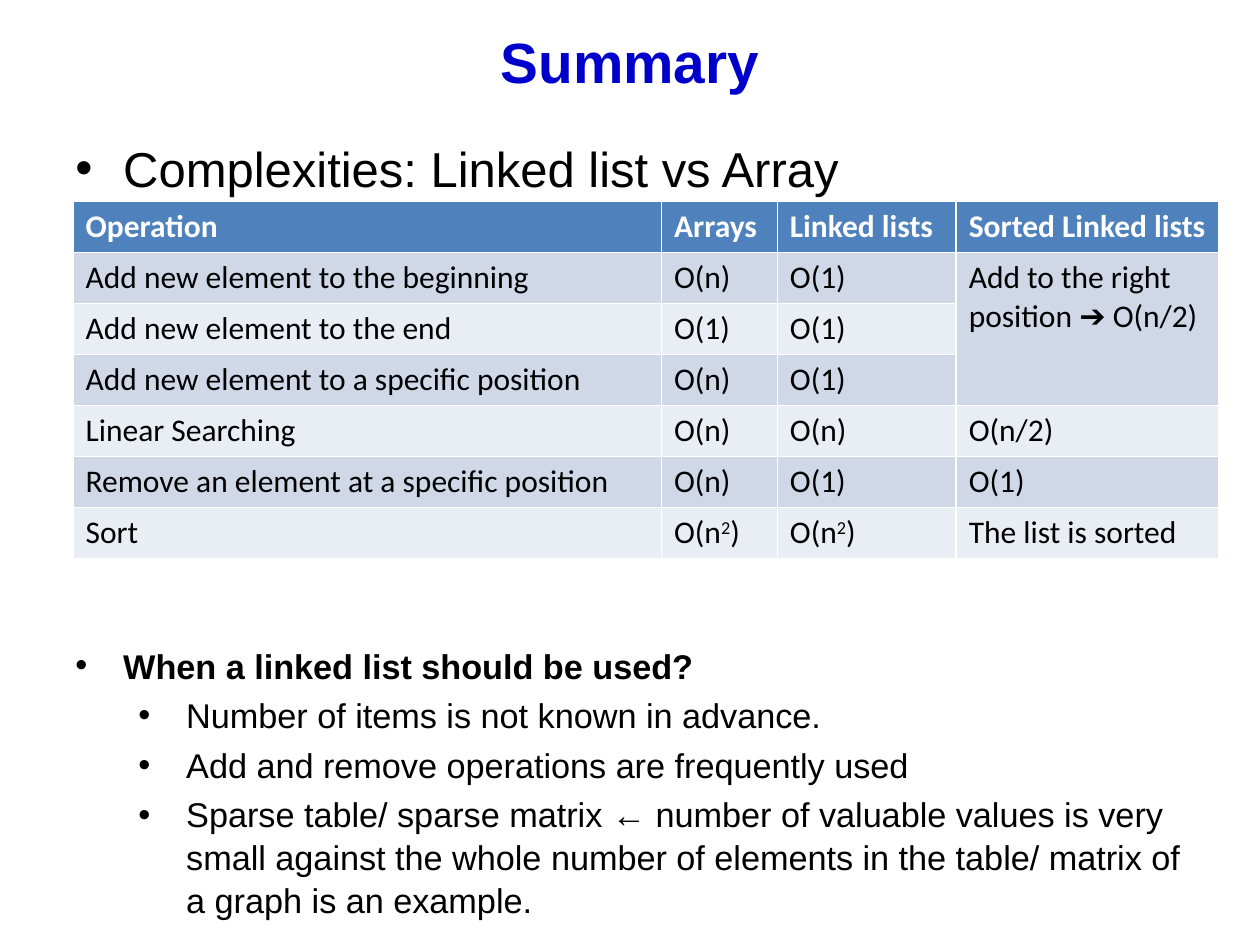
from lxml.etree import SubElement
from pptx import Presentation
from pptx.dml.color import RGBColor
from pptx.enum.text import MSO_ANCHOR, PP_ALIGN
from pptx.oxml.ns import qn
from pptx.util import Inches, Pt

BLUE = RGBColor(0x00, 0x00, 0xCC)
BLACK = RGBColor(0x00, 0x00, 0x00)
WHITE = RGBColor(0xFF, 0xFF, 0xFF)
HEADER_FILL = RGBColor(0x4F, 0x81, 0xBD)
BAND_FILLS = [RGBColor(0xE9, 0xED, 0xF4), RGBColor(0xD0, 0xD8, 0xE8)]


def write(para, text, size, font="Arial", color=BLACK, bold=False, bullet_indent=None):
    """Fill a paragraph; a ² in the text becomes a raised 2."""
    if bullet_indent is not None:
        properties = para._p.get_or_add_pPr()
        properties.set("marL", str(Inches(bullet_indent)))
        properties.set("indent", str(Inches(-0.38)))
        SubElement(properties, qn("a:buFont"), typeface="Arial")
        SubElement(properties, qn("a:buChar"), char="•")
    for piece in text.partition("²"):
        if not piece:
            continue
        span = para.add_run()
        span.text = "2" if piece == "²" else piece
        span.font.size = Pt(size)
        span.font.name = font
        span.font.bold = bold
        span.font.color.rgb = color
        if piece == "²":
            span._r.get_or_add_rPr().set("baseline", "30000")


def add_text_box(page, top, height):
    box = page.shapes.add_textbox(MARGIN, top, CONTENT_WIDTH, height)
    box.text_frame.word_wrap = True
    box.text_frame.margin_top = Inches(0.1)
    return box.text_frame


deck = Presentation()
deck.slide_width = Inches(10)
deck.slide_height = Inches(7.5)
MARGIN = int(deck.slide_width * 0.05)
CONTENT_WIDTH = deck.slide_width - 2 * MARGIN
page = deck.slides.add_slide(deck.slide_layouts[5])

# Title
title = page.shapes.title
title.left, title.top = MARGIN, Inches(0.17)
title.width, title.height = CONTENT_WIDTH, Inches(0.62)
title.text_frame.vertical_anchor = MSO_ANCHOR.MIDDLE
title_para = title.text_frame.paragraphs[0]
title_para.alignment = PP_ALIGN.CENTER
write(title_para, "Summary", 32.4, color=BLUE, bold=True)

# Heading above the table
heading = add_text_box(page, Inches(1), Inches(0.58))
write(heading.paragraphs[0], "Complexities: Linked list vs Array", 28, bullet_indent=0.38)

# Complexity table
rows = [
    ["Operation", "Arrays", "Linked lists", "Sorted Linked lists"],
    ["Add new element to the beginning", "O(n)", "O(1)", "Add to the right position ➔ O(n/2)"],
    ["Add new element to the end", "O(1)", "O(1)", ""],
    ["Add new element to a specific position", "O(n)", "O(1)", ""],
    ["Linear Searching", "O(n)", "O(n)", "O(n/2)"],
    ["Remove an element at a specific position", "O(n)", "O(1)", "O(1)"],
    ["Sort", "O(n²)", "O(n²)", "The list is sorted"],
]
column_widths = [4.67, 0.92, 1.42, 2.08]
row_height = Inches(0.405)
table = page.shapes.add_table(
    len(rows), len(column_widths), Inches(0.58), Inches(1.6),
    Inches(sum(column_widths)), row_height * len(rows),
).table
for column, width in zip(table.columns, column_widths):
    column.width = Inches(width)
for row_index, row in enumerate(rows):
    table.rows[row_index].height = row_height
    is_header = row_index == 0
    for column_index, text in enumerate(row):
        cell = table.cell(row_index, column_index)
        cell.fill.solid()
        cell.fill.fore_color.rgb = HEADER_FILL if is_header else BAND_FILLS[row_index % 2]
        write(cell.text_frame.paragraphs[0], text, 18, font="Calibri",
              color=WHITE if is_header else BLACK, bold=is_header)
table.cell(1, 3).merge(table.cell(3, 3))

# When to use a linked list
usage = add_text_box(page, Inches(5.08), Inches(1.92))
question = usage.paragraphs[0]
question.line_spacing = 0.8
write(question, "When a linked list should be used?", 19.6, bold=True, bullet_indent=0.38)
for reason in [
    "Number of items is not known in advance.",
    "Add and remove operations are frequently used",
    "Sparse table/ sparse matrix ← number of valuable values is very small against "
    "the whole number of elements in the table/ matrix of a graph is an example.",
]:
    para = usage.add_paragraph()
    para.level = 1
    para.line_spacing = 1.04
    para.space_before = Pt(4)
    write(para, reason, 19.6, bullet_indent=0.88)

deck.save("out.pptx")
